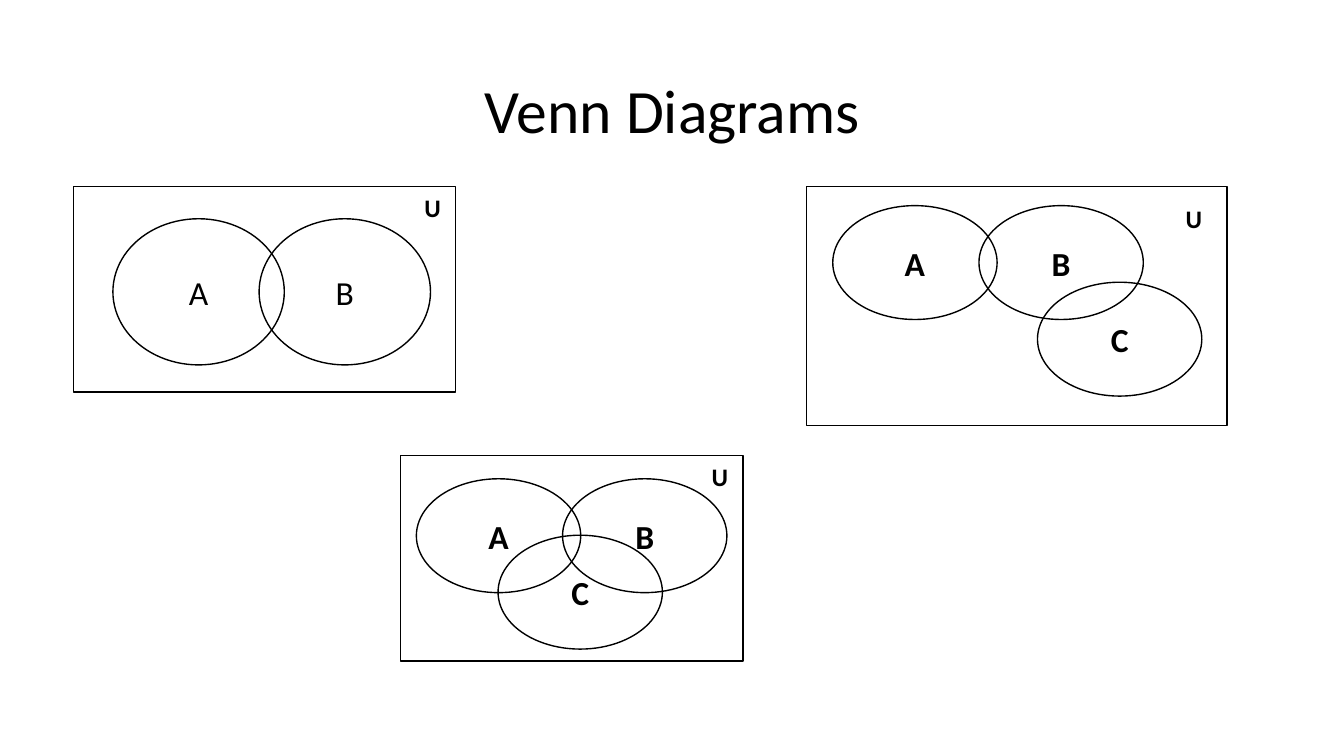
from pptx import Presentation
from pptx.dml.color import RGBColor
from pptx.enum.shapes import MSO_SHAPE
from pptx.enum.text import MSO_ANCHOR, MSO_AUTO_SIZE, PP_ALIGN
from pptx.util import Pt

PX = 9144  # 100 px to the inch
BLACK = RGBColor(0x00, 0x00, 0x00)


def format_text(shape, text, size, bold):
    tf = shape.text_frame
    tf.text = text
    p = tf.paragraphs[0]
    p.alignment = PP_ALIGN.CENTER
    font = p.runs[0].font
    font.name = "Calibri"
    font.size = Pt(size)
    font.bold = bold
    font.color.rgb = BLACK
    return tf


def add_outline(kind, *box):
    sp = slide.shapes.add_shape(kind, *(v * PX for v in box))
    sp.shadow.inherit = False
    sp.fill.background()
    sp.line.color.rgb = BLACK
    sp.line.width = Pt(1)
    return sp


prs = Presentation()
prs.slide_width = 1333 * PX
prs.slide_height = 750 * PX
slide = prs.slides.add_slide(prs.slide_layouts[5])

title = slide.shapes.title
title.left, title.top, title.width, title.height = (v * PX for v in (92, 40, 1150, 145))
tf = format_text(title, "Venn Diagrams", 44, False)
tf.vertical_anchor = MSO_ANCHOR.MIDDLE
tf.paragraphs[0].line_spacing = 0.9

# universe box, set size, bold set names, set positions, position of U
diagrams = [
    ((73, 185, 379, 204), (170, 145), False,
     {"B": (257, 217), "A": (112, 217)}, (405, 186)),
    ((800, 185, 417, 237), (163, 113), True,
     {"B": (971, 204), "A": (826, 204), "C": (1029, 280)}, (1160, 197)),
    ((397, 452, 340, 204), (163, 113), True,
     {"B": (558, 475), "A": (413, 475), "C": (494, 531)}, (690, 453)),
]

for universe, set_size, bold, sets, u_pos in diagrams:
    add_outline(MSO_SHAPE.RECTANGLE, *universe)
    for name, pos in sets.items():
        sp = add_outline(MSO_SHAPE.OVAL, *pos, *set_size)
        tf = format_text(sp, name, 24, bold)
        tf.vertical_anchor = MSO_ANCHOR.MIDDLE

    label = slide.shapes.add_textbox(*(v * PX for v in (*u_pos, 48, 40)))
    tf = format_text(label, "U", 18, True)
    tf.word_wrap = True
    tf.auto_size = MSO_AUTO_SIZE.SHAPE_TO_FIT_TEXT

prs.save("out.pptx")
